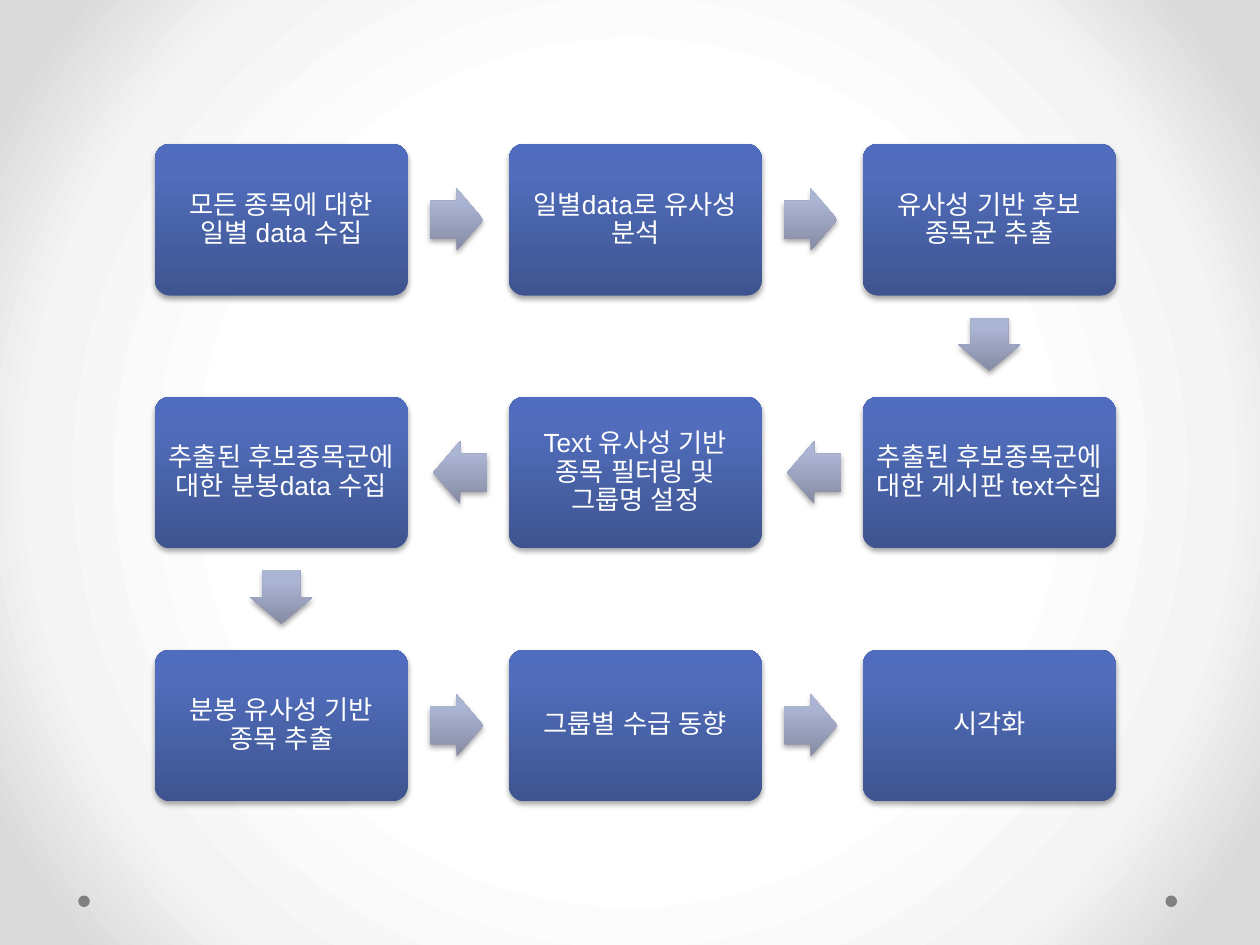
from typing import NamedTuple

import pptx
import pptx.dml.color
import pptx.enum.lang
import pptx.enum.shapes
import pptx.enum.text
import pptx.oxml
import pptx.util
from lxml import etree

Pt = pptx.util.Pt
SHAPE = pptx.enum.shapes.MSO_SHAPE
A = "http://schemas.openxmlformats.org/drawingml/2006/main"

COLORS = {"text": "FFFFFF", "dot": "808080", "shadow": "000000"}
GRADIENTS = {
    "background": [(50, "FFFFFF"), (76, "F4F4F4"), (92, "DADADA")],
    "box": [(0, "3E5490"), (80, "516DBB"), (100, "4F6CBE")],
    "arrow": [(0, "858BA3"), (80, "ACB4D4"), (100, "ACB5D6")],
}

# Grid of boxes, in points
LEFT, TOP = 88.5, 82.2
PITCH_X, PITCH_Y = 202.3, 144.5
BOX_W, BOX_H = 144.5, 86.7
ARROW_W, ARROW_H = 30.6, 35.8
ARROW_SHIFT = 1


class Step(NamedTuple):
    col: int
    row: int
    text: str

    def center(self) -> tuple[float, float]:
        return (LEFT + self.col * PITCH_X + BOX_W / 2,
                TOP + self.row * PITCH_Y + BOX_H / 2)


STEPS = [
    Step(0, 0, "모든 종목에 대한 일별 data 수집"),
    Step(1, 0, "일별data로 유사성 분석"),
    Step(2, 0, "유사성 기반 후보 종목군 추출"),
    Step(2, 1, "추출된 후보종목군에 대한 게시판 text수집"),
    Step(1, 1, "Text 유사성 기반 종목 필터링 및 그룹명 설정"),
    Step(0, 1, "추출된 후보종목군에 대한 분봉data 수집"),
    Step(0, 2, "분봉 유사성 기반 종목 추출"),
    Step(1, 2, "그룹별 수급 동향"),
    Step(2, 2, "시각화"),
]


def set_gradient(fill, element, name: str, radial: bool = False) -> None:
    fill.gradient()
    old = element.xpath(".//a:gradFill")[0]
    stops = "".join(f'<a:gs pos="{pos * 1000}"><a:srgbClr val="{color}"/></a:gs>'
                    for pos, color in GRADIENTS[name])
    if radial:
        course = ('<a:path path="circle"><a:fillToRect l="50000" t="50000" '
                  'r="50000" b="50000"/></a:path>')
    else:
        course = '<a:lin ang="16200000" scaled="0"/>'
    new = pptx.oxml.parse_xml(f'<a:gradFill xmlns:a="{A}" rotWithShape="0">'
                              f'<a:gsLst>{stops}</a:gsLst>{course}</a:gradFill>')
    old.getparent().replace(old, new)


def add_centered(slide, kind, cx: float, cy: float, w: float, h: float):
    sp = slide.shapes.add_shape(kind, Pt(cx - w / 2), Pt(cy - h / 2), Pt(w), Pt(h))
    sp.shadow.inherit = False
    sp.line.fill.background()
    return sp


def add_shadow(sp) -> None:
    effects = sp._element.spPr.find(f"{{{A}}}effectLst")
    shadow = etree.SubElement(effects, f"{{{A}}}outerShdw", blurRad=str(Pt(3.1)),
                              dist=str(Pt(1.8)), dir="5400000", rotWithShape="0")
    color = etree.SubElement(shadow, f"{{{A}}}srgbClr", val=COLORS["shadow"])
    etree.SubElement(color, f"{{{A}}}alpha", val="35000")


def add_box(slide, step: Step) -> None:
    sp = add_centered(slide, SHAPE.ROUNDED_RECTANGLE, *step.center(), BOX_W, BOX_H)
    sp.adjustments[0] = 0.1
    set_gradient(sp.fill, sp._element, "box")
    add_shadow(sp)
    tf = sp.text_frame
    tf.word_wrap = True
    tf.vertical_anchor = pptx.enum.text.MSO_ANCHOR.MIDDLE
    tf.margin_left = tf.margin_right = tf.margin_top = tf.margin_bottom = Pt(4.5)
    p = tf.paragraphs[0]
    p.alignment = pptx.enum.text.PP_ALIGN.CENTER
    p.line_spacing = 0.9
    r = p.add_run()
    r.text = step.text
    r.font.name = "Arial"
    r.font.size = Pt(15)
    r.font.language_id = pptx.enum.lang.MSO_LANGUAGE_ID.KOREAN
    r.font.color.rgb = pptx.dml.color.RGBColor.from_string(COLORS["text"])


def add_arrow(slide, start: Step, end: Step) -> None:
    dx, dy = end.col - start.col, end.row - start.row
    (x1, y1), (x2, y2) = start.center(), end.center()
    sp = add_centered(slide, SHAPE.RIGHT_ARROW,
                      (x1 + x2) / 2 - dx * ARROW_SHIFT,
                      (y1 + y2) / 2 - dy * ARROW_SHIFT, ARROW_W, ARROW_H)
    sp.adjustments[0] = 0.6
    sp.adjustments[1] = 0.5
    sp.rotation = 90 if dy else 180 if dx < 0 else 0
    set_gradient(sp.fill, sp._element, "arrow")
    add_shadow(sp)


prs = pptx.Presentation()
prs.slide_width, prs.slide_height = Pt(720), Pt(540)
slide = prs.slides.add_slide(prs.slide_layouts[6])

# Background and corner dots
set_gradient(slide.background.fill, slide._element, "background", radial=True)
for dot_x in (669.3, 48):
    dot = add_centered(slide, SHAPE.OVAL, dot_x, 515, 6.6, 6.6)
    dot.fill.solid()
    dot.fill.fore_color.rgb = pptx.dml.color.RGBColor.from_string(COLORS["dot"])

# Steps, each followed by an arrow to the next
for i, step in enumerate(STEPS):
    add_box(slide, step)
    if i + 1 < len(STEPS):
        add_arrow(slide, step, STEPS[i + 1])

prs.save("out.pptx")
